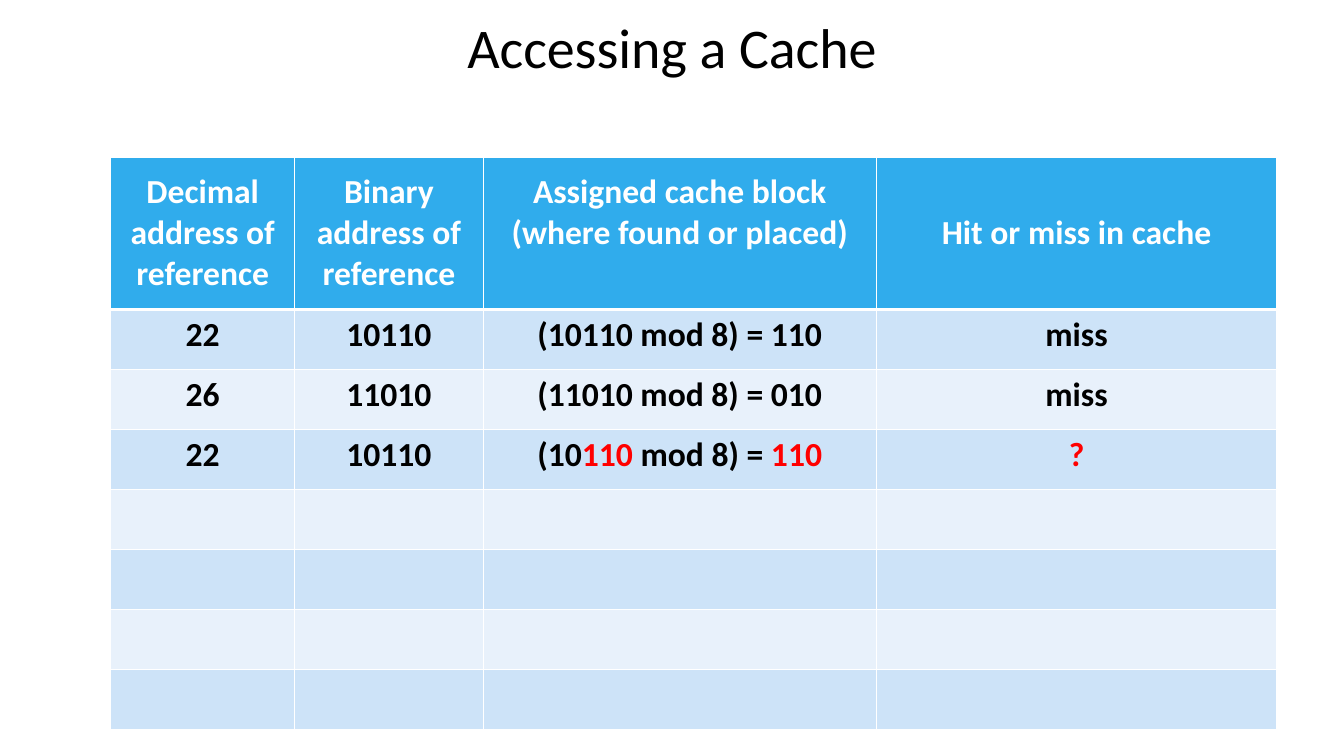
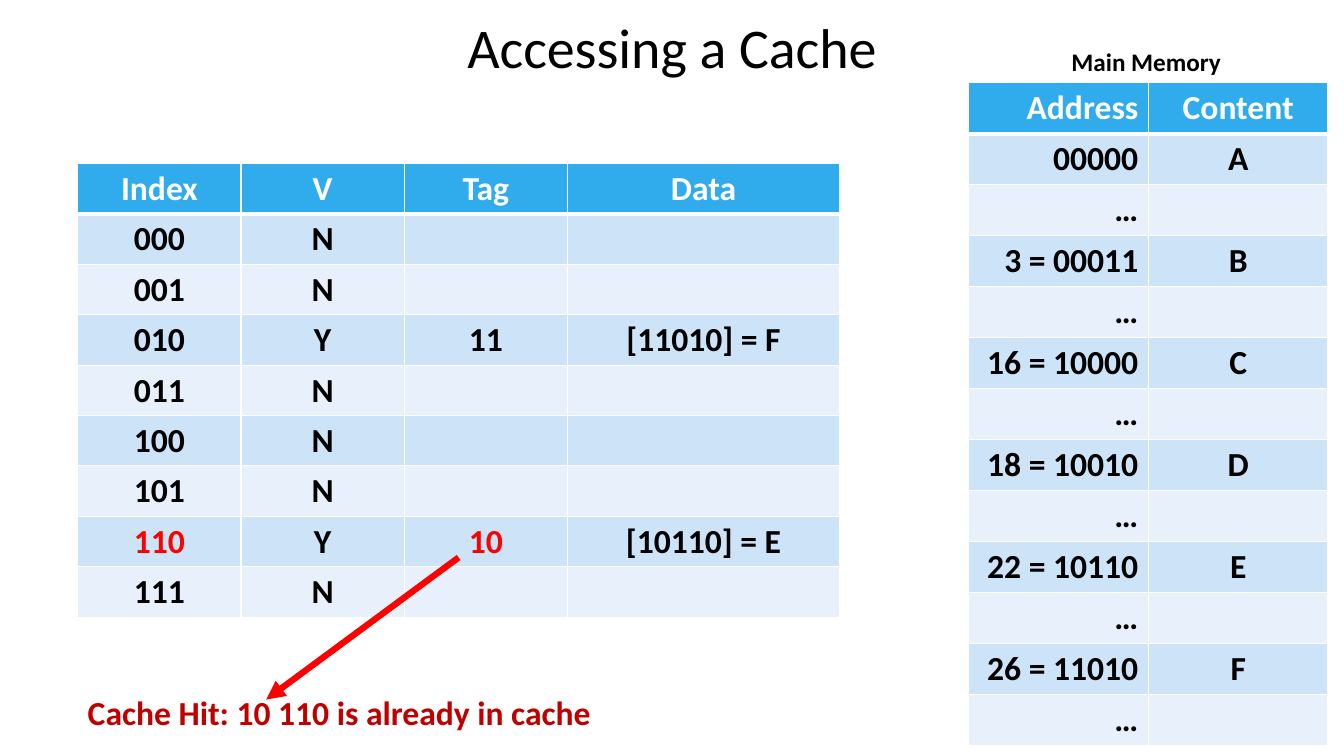
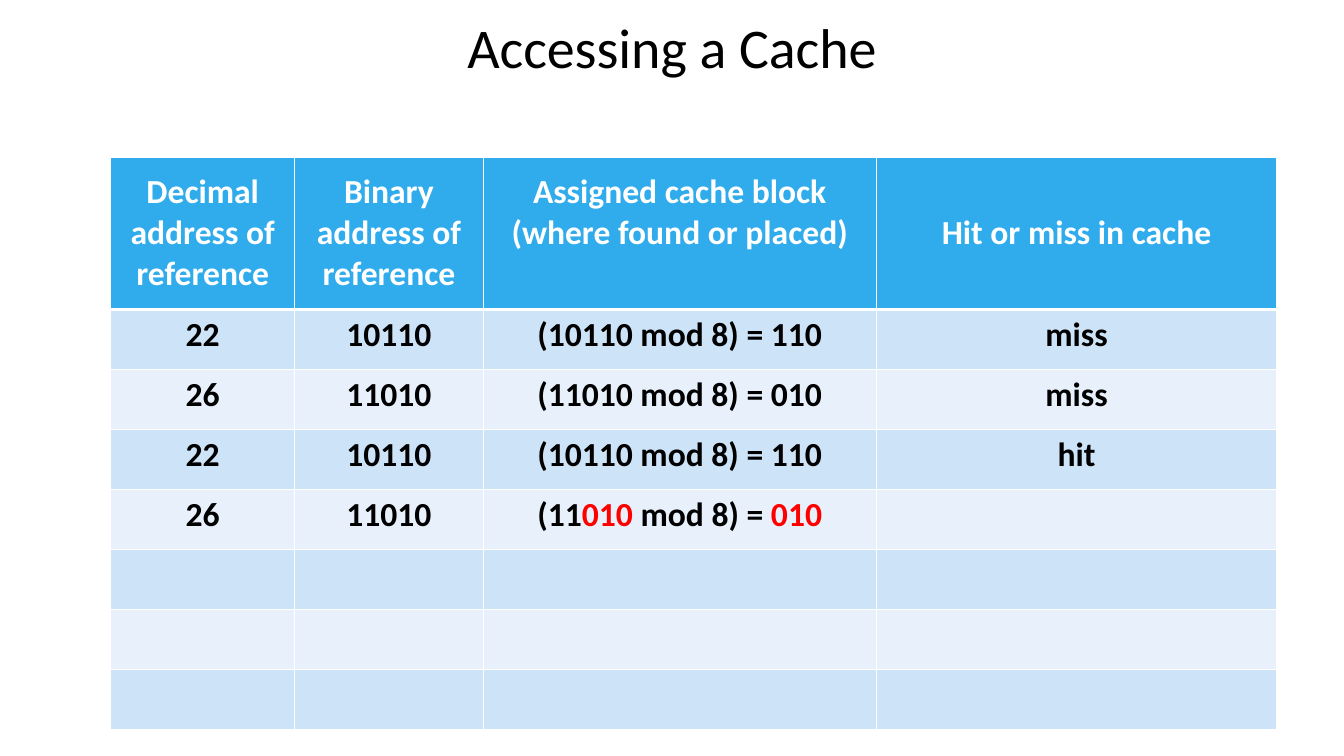
from dataclasses import dataclass

from lxml.etree import SubElement
from pptx import Presentation
from pptx.dml.color import RGBColor
from pptx.enum.shapes import MSO_CONNECTOR
from pptx.enum.text import MSO_ANCHOR, PP_ALIGN
from pptx.oxml.ns import qn
from pptx.presentation import Presentation as Deck
from pptx.slide import Slide
from pptx.table import _Cell as Cell
from pptx.text.text import Font
from pptx.util import Pt

# Shared look
FONT = "Calibri"
BLACK, WHITE, RED, DARK_RED = "000000", "FFFFFF", "FF0000", "C00000"
HEADER_FILL = "30ACEC"
BAND_FILLS = ("CDE3F8", "E8F1FB")
PAGE_WIDTH, PAGE_HEIGHT = 960, 540
TITLE_HEIGHT = 66
TABLE_TEXT_SIZE = 24


@dataclass(frozen=True)
class Grid:
    """A banded table; text between asterisks is highlighted in red."""
    left: float
    top: float
    columns: tuple[float, ...]
    header_height: float
    row_height: float
    header: tuple[str, ...]
    rows: tuple[tuple[str, ...], ...]
    right_columns: tuple[int, ...] = ()
    middle_header: bool = False


@dataclass(frozen=True)
class Label:
    left: float
    top: float
    width: float
    height: float
    text: str
    size: float
    color: str


def rgb(color: str) -> RGBColor:
    return RGBColor.from_string(color)


def style_font(font: Font, size: float, color: str, bold: bool = False) -> None:
    font.name = FONT
    font.size = Pt(size)
    font.bold = bold
    font.color.rgb = rgb(color)


def add_page(deck: Deck, title: str) -> Slide:
    page = deck.slides.add_slide(deck.slide_layouts[5])
    box = page.shapes.title
    box.left, box.top = Pt(0), Pt(0)
    box.width, box.height = Pt(PAGE_WIDTH), Pt(TITLE_HEIGHT)
    frame = box.text_frame
    frame.text = title
    frame.vertical_anchor = MSO_ANCHOR.MIDDLE
    frame.paragraphs[0].alignment = PP_ALIGN.CENTER
    style_font(frame.paragraphs[0].runs[0].font, 40, BLACK)
    return page


def set_borders(cell: Cell, top: float, bottom: float) -> None:
    properties = cell._tc.get_or_add_tcPr()
    sides = (("a:lnL", 1), ("a:lnR", 1), ("a:lnT", top), ("a:lnB", bottom))
    for position, (tag, width) in enumerate(sides):
        line = SubElement(properties, qn(tag), w=str(Pt(width)))
        fill = SubElement(line, qn("a:solidFill"))
        SubElement(fill, qn("a:srgbClr"), val=WHITE)
        properties.insert(position, line)  # borders come before the fill


def fill_cell(cell: Cell, text: str, color: str, alignment: PP_ALIGN) -> None:
    paragraph = cell.text_frame.paragraphs[0]
    paragraph.alignment = alignment
    for index, part in enumerate(text.split("*")):
        if part:
            span = paragraph.add_run()
            span.text = part
            style_font(span.font, TABLE_TEXT_SIZE, RED if index % 2 else color, True)


def add_grid(page: Slide, grid: Grid) -> None:
    lines = (grid.header, *grid.rows)
    height = grid.header_height + grid.row_height * len(grid.rows)
    table = page.shapes.add_table(
        len(lines), len(grid.columns), Pt(grid.left), Pt(grid.top),
        Pt(sum(grid.columns)), Pt(height)).table
    for column, width in zip(table.columns, grid.columns):
        column.width = Pt(width)
    for row_index, texts in enumerate(lines):
        is_header = row_index == 0
        row = table.rows[row_index]
        row.height = Pt(grid.header_height if is_header else grid.row_height)
        for column_index, cell in enumerate(row.cells):
            text = texts[column_index] if column_index < len(texts) else ""
            cell.fill.solid()
            cell.fill.fore_color.rgb = rgb(
                HEADER_FILL if is_header else BAND_FILLS[(row_index - 1) % 2])
            set_borders(cell, 3 if row_index == 1 else 1, 3 if is_header else 1)
            if is_header and grid.middle_header:
                cell.vertical_anchor = MSO_ANCHOR.MIDDLE
                # The two-line heading starts level with the three-line ones
                if text == BLOCK_HEADING:
                    cell.margin_bottom = Pt(33)
            else:
                cell.margin_bottom = Pt(2)
            alignment = (PP_ALIGN.RIGHT if column_index in grid.right_columns
                         else PP_ALIGN.CENTER)
            fill_cell(cell, text, WHITE if is_header else BLACK, alignment)


def add_label(page: Slide, label: Label) -> None:
    box = page.shapes.add_textbox(
        Pt(label.left), Pt(label.top), Pt(label.width), Pt(label.height))
    frame = box.text_frame
    frame.word_wrap = False
    frame.text = label.text
    style_font(frame.paragraphs[0].runs[0].font, label.size, label.color, True)


def add_arrow(page: Slide, start: tuple[float, float], end: tuple[float, float]) -> None:
    arrow = page.shapes.add_connector(
        MSO_CONNECTOR.STRAIGHT, *(Pt(value) for value in (*start, *end)))
    arrow.line.color.rgb = rgb(RED)
    arrow.line.width = Pt(4.5)
    SubElement(arrow.line._get_or_add_ln(), qn("a:tailEnd"), type="triangle")
    SubElement(arrow._element.spPr, qn("a:effectLst"))


# Content
TITLE = "Accessing a Cache"
BLOCK_HEADING = "Assigned cache block (where found or placed)"
REFERENCE_ROWS = 7
FIRST_REFERENCES = (
    ("22", "10110", "(10110 mod 8) = 110", "miss"),
    ("26", "11010", "(11010 mod 8) = 010", "miss"),
)
THIRD_ASKED = ("22", "10110", "(10*110* mod 8) = *110*", "*?*")
THIRD_ANSWERED = ("22", "10110", "(10110 mod 8) = 110", "hit")
FOURTH_ASKED = ("26", "11010", "(11*010* mod 8) = *010*")


def reference_grid(*latest: tuple[str, ...]) -> Grid:
    references = FIRST_REFERENCES + latest
    return Grid(
        left=79.2, top=112.5, columns=(131.2, 134.8, 280.7, 286.3),
        header_height=108.5, row_height=42.9,
        header=("Decimal address of reference", "Binary address of reference",
                BLOCK_HEADING, "Hit or miss in cache"),
        rows=references + ((),) * (REFERENCE_ROWS - len(references)),
        middle_header=True)


MEMORY = (("00000", "A"), ("3 = 00011", "B"), ("16 = 10000", "C"),
          ("18 = 10010", "D"), ("22 = 10110", "E"), ("26 = 11010", "F"))
MEMORY_GRID = Grid(
    left=692, top=59.2, columns=(128.3, 128.3), header_height=36.45, row_height=36.45,
    header=("Address", "Content"),
    rows=tuple(row for entry in MEMORY for row in (entry, ("…",))),
    right_columns=(0,))
CACHE_GRID = Grid(
    left=55.6, top=116.8, columns=(116.6, 116.6, 116.6, 194.4),
    header_height=36, row_height=36,
    header=("Index", "V", "Tag", "Data"),
    rows=(("000", "N"), ("001", "N"), ("010", "Y", "11", "[11010] = F"),
          ("011", "N"), ("100", "N"), ("101", "N"),
          ("*110*", "Y", "*10*", "[10110] = E"), ("111", "N")))
MEMORY_LABEL = Label(758.2, 29.6, 123, 29, "Main Memory", 18, BLACK)
HIT_LABEL = Label(55.6, 491, 386.5, 36, "Cache Hit: 10 110 is already in cache",
                  24, DARK_RED)


def main() -> None:
    deck = Presentation()
    deck.slide_width, deck.slide_height = Pt(PAGE_WIDTH), Pt(PAGE_HEIGHT)

    # Third reference: hit or miss?
    add_grid(add_page(deck, TITLE), reference_grid(THIRD_ASKED))

    # Cache and memory state
    page = add_page(deck, TITLE)
    add_grid(page, MEMORY_GRID)
    add_label(page, MEMORY_LABEL)
    add_grid(page, CACHE_GRID)
    add_label(page, HIT_LABEL)
    add_arrow(page, (327.6, 398.2), (190.1, 499.7))

    # Fourth reference
    add_grid(add_page(deck, TITLE), reference_grid(THIRD_ANSWERED, FOURTH_ASKED))

    deck.save("out.pptx")


if __name__ == "__main__":
    main()
